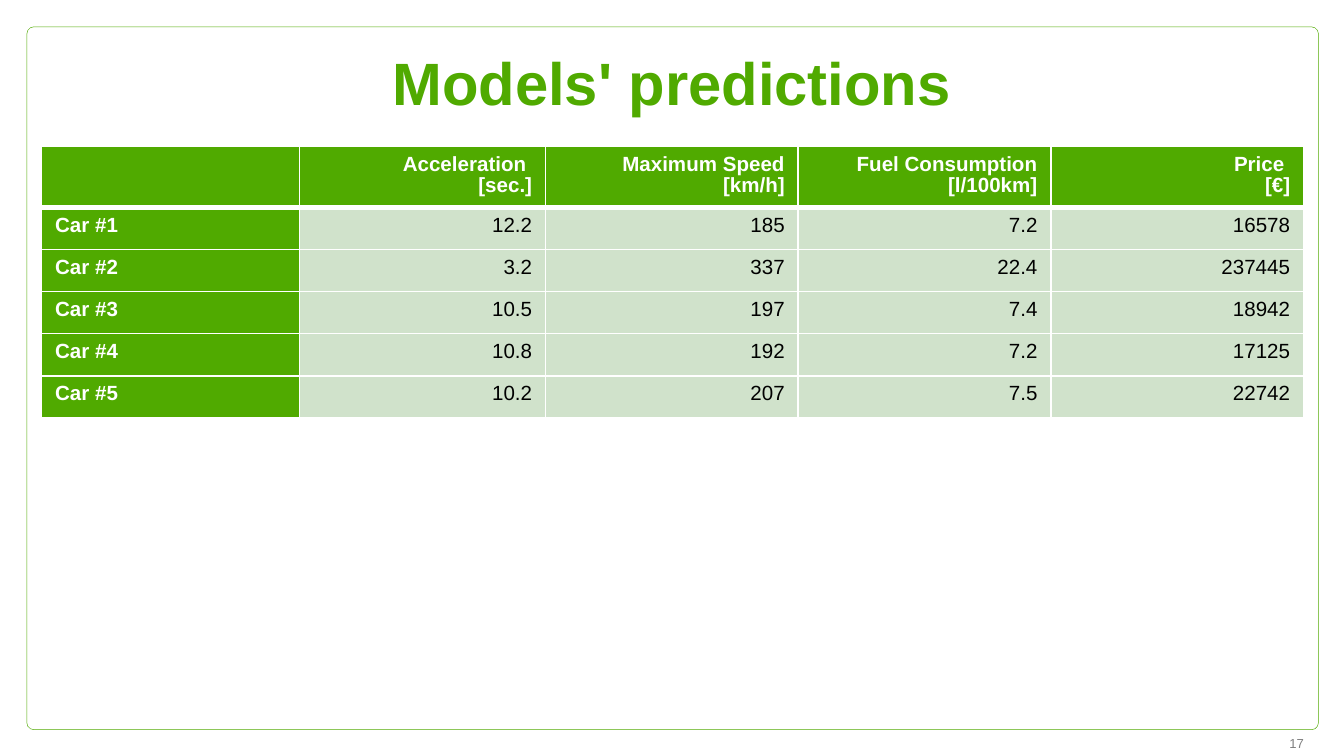
import pptx
import pptx.util
import pptx.dml.color
import pptx.enum.shapes
import pptx.enum.text
import pptx.oxml.ns
from lxml import etree

Inches = pptx.util.Inches
Pt = pptx.util.Pt
RGBColor = pptx.dml.color.RGBColor
Align = pptx.enum.text.PP_ALIGN
Anchor = pptx.enum.text.MSO_ANCHOR

GREEN = RGBColor(0x50, 0xAA, 0x00)
PALE_GREEN = RGBColor(0xD0, 0xE2, 0xCB)
GRAY = RGBColor(0x80, 0x80, 0x80)
WHITE = RGBColor(0xFF, 0xFF, 0xFF)
BLACK = RGBColor(0x00, 0x00, 0x00)

COLUMN_WIDTHS = [1.92, 1.83, 1.88, 1.88, 1.88]
HEADER_HEIGHT = 0.41
BODY_HEIGHT = 1.57
PREDICTIONS = [
    ["", "Acceleration \v[sec.]", "Maximum Speed [km/h]",
     "Fuel Consumption [l/100km]", "Price \v[€]"],
    ["Car #1", "12.2", "185", "7.2", "16578"],
    ["Car #2", "3.2", "337", "22.4", "237445"],
    ["Car #3", "10.5", "197", "7.4", "18942"],
    ["Car #4", "10.8", "192", "7.2", "17125"],
    ["Car #5", "10.2", "207", "7.5", "22742"],
]


def style_paragraph(para, size, color, bold, align):
    para.alignment = align
    para.font.name = "Arial"
    para.font.size = Pt(size)
    para.font.bold = bold
    para.font.color.rgb = color


def add_frame(page):
    frame = page.shapes.add_shape(
        pptx.enum.shapes.MSO_SHAPE.ROUNDED_RECTANGLE,
        Inches(0.2), Inches(0.2), Inches(9.61), Inches(5.23))
    frame.adjustments[0] = 0.01
    frame.shadow.inherit = False
    frame.fill.background()
    frame.line.color.rgb = GREEN
    frame.line.width = Pt(0.25)


def add_text(page, text, left, top, width, height, size, color, bold, align):
    box = page.shapes.add_textbox(
        Inches(left), Inches(top), Inches(width), Inches(height))
    box.text_frame.word_wrap = True
    box.text_frame.vertical_anchor = Anchor.MIDDLE
    box.text_frame.text = text
    style_paragraph(box.text_frame.paragraphs[0], size, color, bold, align)


def set_borders(cell, bottom_width, top_width):
    """Draw white lines on all four sides; they must precede the fill."""
    properties = cell._tc.get_or_add_tcPr()
    qn = pptx.oxml.ns.qn
    sides = {"a:lnL": 1, "a:lnR": 1, "a:lnT": top_width, "a:lnB": bottom_width}
    for tag, width in sides.items():
        line = etree.SubElement(properties, qn(tag), w=str(Pt(width)))
        fill = etree.SubElement(line, qn("a:solidFill"))
        etree.SubElement(fill, qn("a:srgbClr"), val=str(WHITE))


def fill_cell(cell, text, row, column):
    is_heading = row == 0 or column == 0
    set_borders(cell, 3 if row == 0 else 1, 3 if row == 1 else 1)
    cell.fill.solid()
    cell.fill.fore_color.rgb = GREEN if is_heading else PALE_GREEN
    cell.margin_top = Inches(0.06)
    cell.text = text
    para = cell.text_frame.paragraphs[0]
    para.line_spacing = 0.93
    style_paragraph(para, 11, WHITE if is_heading else BLACK, is_heading,
                    Align.RIGHT if column else Align.LEFT)


def add_predictions_table(page):
    body_rows = len(PREDICTIONS) - 1
    heights = [HEADER_HEIGHT] + [BODY_HEIGHT / body_rows] * body_rows
    table = page.shapes.add_table(
        len(heights), len(COLUMN_WIDTHS), Inches(0.31), Inches(1.09),
        Inches(sum(COLUMN_WIDTHS)), Inches(sum(heights))).table
    for column, width in zip(table.columns, COLUMN_WIDTHS):
        column.width = Inches(width)
    for row, height in zip(table.rows, heights):
        row.height = Inches(height)
    for row, values in enumerate(PREDICTIONS):
        for column, value in enumerate(values):
            fill_cell(table.cell(row, column), value, row, column)


def main():
    deck = pptx.Presentation()
    deck.slide_width = Inches(10)
    deck.slide_height = deck.slide_width * 9 // 16
    page = deck.slides.add_slide(deck.slide_layouts[6])
    add_frame(page)
    add_text(page, "17", 9.21, 5.43, 0.59, 0.2, 7, GRAY, False, Align.RIGHT)
    add_predictions_table(page)
    add_text(page, "Models' predictions", 0.75, 0, 8.5, 1.21,
             32, GREEN, True, Align.CENTER)
    deck.save("out.pptx")


if __name__ == "__main__":
    main()
